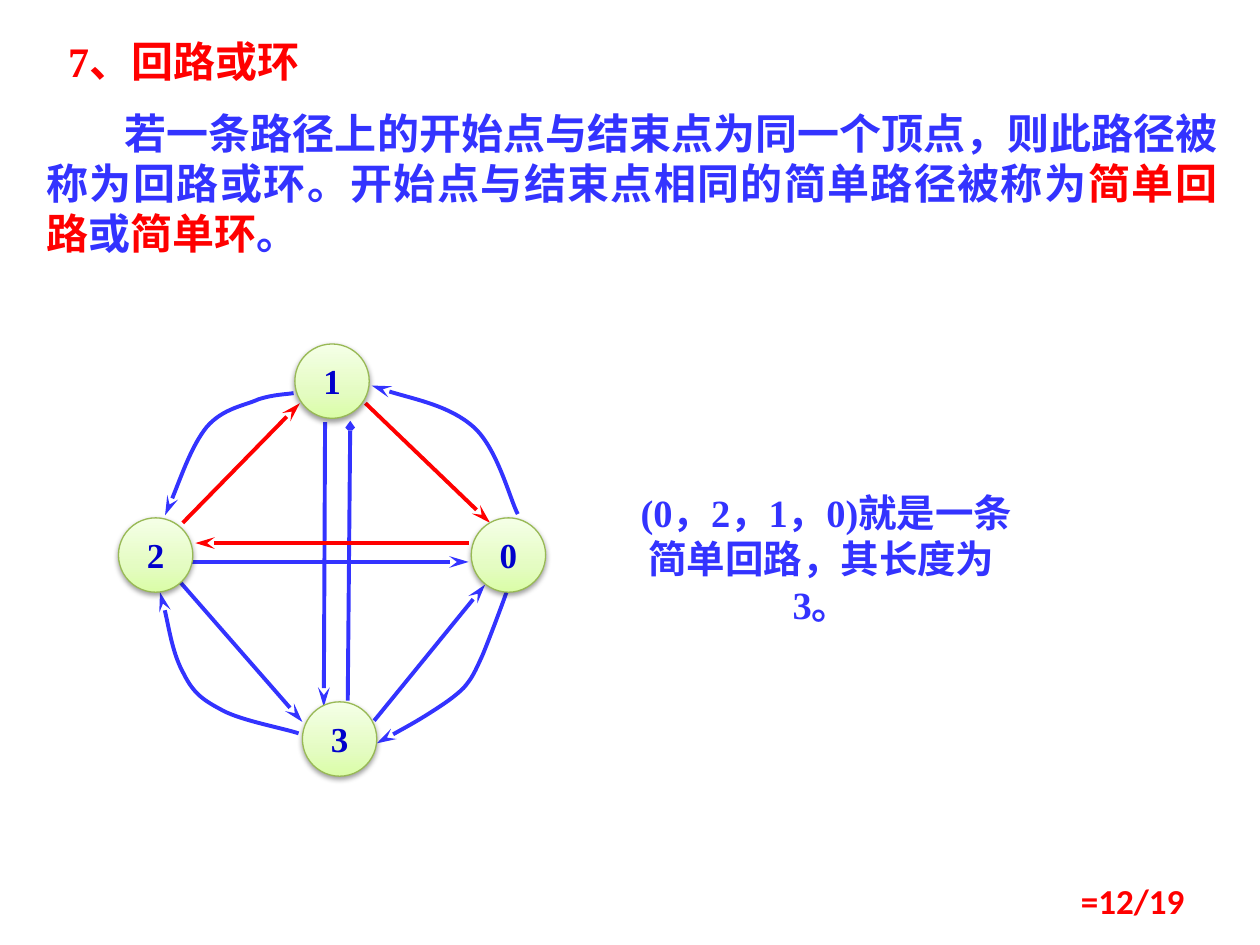
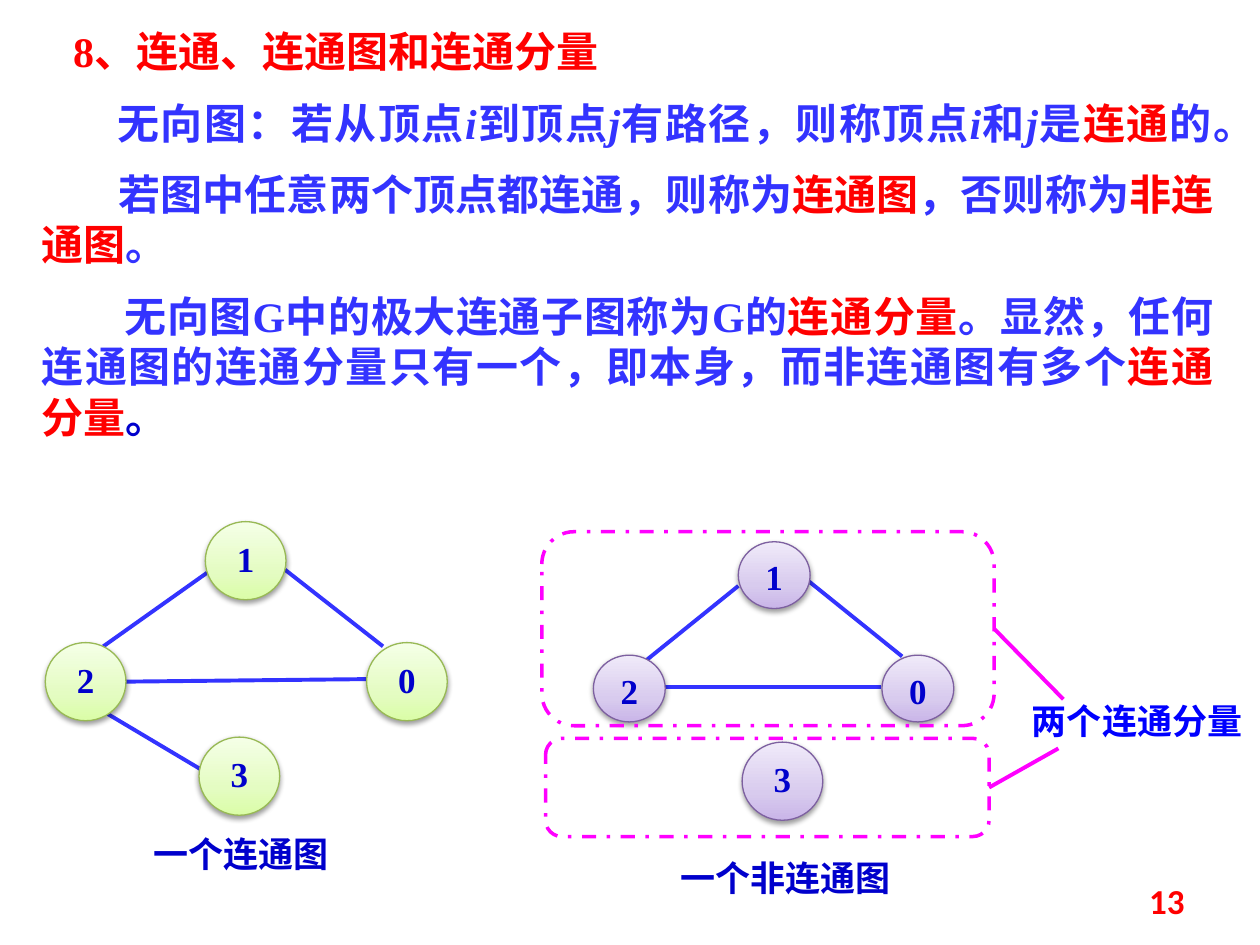
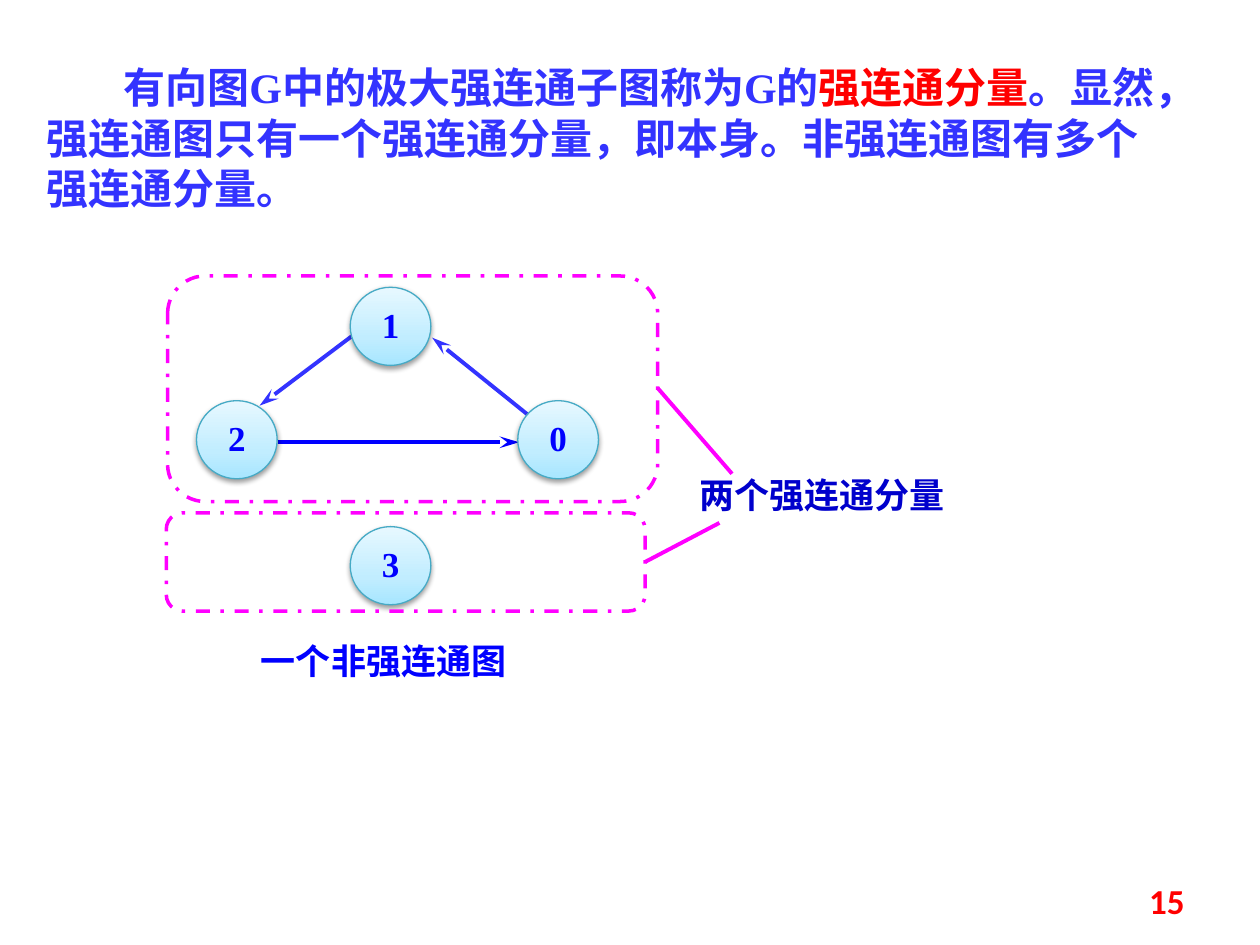
from dataclasses import dataclass, field

from lxml import etree
from pptx import Presentation
from pptx.dml.color import RGBColor
from pptx.enum.dml import MSO_LINE
from pptx.enum.lang import MSO_LANGUAGE_ID
from pptx.enum.shapes import MSO_CONNECTOR, MSO_SHAPE
from pptx.enum.text import MSO_ANCHOR, MSO_AUTO_SIZE, PP_ALIGN
from pptx.oxml.ns import qn
from pptx.util import Inches, Pt

ELLIPSE, ROUNDED = MSO_SHAPE.OVAL, MSO_SHAPE.ROUNDED_RECTANGLE
STRAIGHT = MSO_CONNECTOR.STRAIGHT
DASH_DOT = MSO_LINE.DASH_DOT
TOP, MIDDLE = MSO_ANCHOR.TOP, MSO_ANCHOR.MIDDLE
LEFT, CENTER, RIGHT, JUSTIFY = PP_ALIGN.LEFT, PP_ALIGN.CENTER, PP_ALIGN.RIGHT, PP_ALIGN.JUSTIFY
NO_FIT = MSO_AUTO_SIZE.NONE
CHINESE = MSO_LANGUAGE_ID.SIMPLIFIED_CHINESE

# Grid of square cells: 10 columns by 7.5 rows
COLUMNS, ROWS = 10, 7.5
SLIDE_WIDTH = Inches(10)
CELL = SLIDE_WIDTH / COLUMNS
BODY_DROP = 0.57
TITLE_HEIGHT = 0.5
CAPTION_HEIGHT = 0.44

STEALTH = {"type": "stealth", "w": "med", "len": "lg"}
SMALL_ARROW = {"type": "arrow", "w": "sm", "len": "sm"}

Point = tuple[float, float]


@dataclass(frozen=True)
class NodeStyle:
    stops: tuple[tuple[int, str], ...]
    outline: str
    text: str


@dataclass(frozen=True)
class Theme:
    red: str = "FF0000"
    blue: str = "3333FF"
    navy: str = "0000CC"
    bright: str = "0000FF"
    magenta: str = "FF00FF"
    font: str = "Times New Roman"
    number_font: str = "Calibri"
    heading_size: float = 24
    note_size: float = 22
    label_size: float = 20
    paragraph_gap: float = 12
    edge_width: float = 2.25
    frame_width: float = 2
    node_line: float = 0.75
    green_node: NodeStyle = NodeStyle(
        ((0, "DAFDA7"), (35, "E4FCC2"), (100, "F5FFE7")), "98B955", "0000CC")
    purple_node: NodeStyle = NodeStyle(
        ((0, "C9B5E8"), (35, "D8CBEE"), (100, "F0EAF9")), "7D60A0", "0000CC")
    cyan_node: NodeStyle = NodeStyle(
        ((0, "A7E6FF"), (35, "C1EDFF"), (100, "E7F8FF")), "46AAC5", "0000FF")


THEME = Theme()


@dataclass(frozen=True)
class Span:
    text: str
    color: str = THEME.blue
    italic: bool = False


@dataclass(frozen=True)
class Node:
    label: str
    left: float
    top: float
    width: float = 0.64
    height: float = 0.62


@dataclass(frozen=True)
class Edge:
    """Two points give a straight edge; 3n + 1 points give a chain of cubic curves."""
    points: tuple[Point, ...]
    color: str = THEME.blue
    head: dict[str, str] | None = None


@dataclass(frozen=True)
class Frame:
    left: float
    top: float
    width: float
    height: float


@dataclass(frozen=True)
class Caption:
    text: str
    left: float
    top: float
    width: float
    color: str = THEME.navy
    size: float = THEME.label_size


@dataclass(frozen=True)
class Graph:
    style: NodeStyle
    nodes: list[Node]
    edges: list[Edge]


@dataclass(frozen=True)
class Paragraph:
    indent: float
    spans: list[Span]


@dataclass(frozen=True)
class Page:
    number: str
    left: float
    top: float
    width: float
    body_height: float
    paragraphs: list[Paragraph]
    graphs: list[Graph]
    captions: list[Caption]
    title: str = ""
    title_indent: float = 0
    align: PP_ALIGN = JUSTIFY
    frames: list[Frame] = field(default_factory=list)


def grid(value: float) -> int:
    return round(value * CELL)


def set_all(target, **values) -> None:
    for name, value in values.items():
        setattr(target, name, value)


def add_element(parent, tag: str, **attributes):
    return etree.SubElement(parent, qn(tag), {name: str(value) for name, value in attributes.items()})


def place(shape, left: float, top: float, width: float, height: float) -> None:
    set_all(shape, left=grid(left), top=grid(top), width=grid(width), height=grid(height))


def write(para, spans: list[Span], size: float, align: PP_ALIGN, font: str = THEME.font) -> None:
    para.alignment = align
    for span in spans:
        run = para.add_run()
        run.text = span.text
        set_all(run.font, name=font, size=Pt(size), bold=True, italic=span.italic, language_id=CHINESE)
        run.font.color.rgb = RGBColor.from_string(span.color)


def indent_first_line(para, indent: float) -> None:
    properties = para._p.get_or_add_pPr()
    properties.set("marL", "0")
    properties.set("indent", str(grid(indent)))
    add_element(properties, "a:buNone")


def set_line(shape, color: str, width: float) -> None:
    shape.line.color.rgb = RGBColor.from_string(color)
    shape.line.width = Pt(width)


def add_text(slide, caption: Caption, height: float = CAPTION_HEIGHT, align: PP_ALIGN = CENTER,
             anchor: MSO_ANCHOR = TOP, font: str = THEME.font) -> None:
    box = slide.shapes.add_textbox(*map(grid, (caption.left, caption.top, caption.width, height)))
    set_all(box.text_frame, word_wrap=True, vertical_anchor=anchor)
    write(box.text_frame.paragraphs[0], [Span(caption.text, caption.color)], caption.size, align, font)


def add_node(slide, node: Node, style: NodeStyle) -> None:
    shape = slide.shapes.add_shape(ELLIPSE, *map(grid, (node.left, node.top, node.width, node.height)))
    shape.fill.gradient()
    shape.fill.gradient_angle = 90
    stop_list = shape._element.spPr.find(".//" + qn("a:gsLst"))
    stop_list.clear()
    for position, color in style.stops:
        stop = add_element(stop_list, "a:gs", pos=position * 1000)
        add_element(stop, "a:srgbClr", val=color)
    set_line(shape, style.outline, THEME.node_line)
    shape.shadow.inherit = False
    effects = shape._element.spPr.find(qn("a:effectLst"))
    shadow = add_element(effects, "a:outerShdw", blurRad=Pt(3.1), dist=Pt(1.6), dir=5400000, rotWithShape=0)
    shade = add_element(shadow, "a:srgbClr", val="000000")
    add_element(shade, "a:alpha", val=38000)
    set_all(shape.text_frame, margin_left=0, margin_right=0, margin_bottom=0,
            margin_top=grid(0.12), vertical_anchor=TOP)
    para = shape.text_frame.paragraphs[0]
    para.line_spacing = 0.72
    write(para, [Span(node.label, style.text)], THEME.label_size, CENTER)


def add_curve(slide, points: tuple[Point, ...]):
    """Build the outline through the anchor points, then bend each segment into a cubic."""
    corners = [(grid(x), grid(y)) for x, y in points]
    builder = slide.shapes.build_freeform(*corners[0])
    builder.add_line_segments(corners[3::3], close=False)
    shape = builder.convert_to_shape()
    segments = list(shape._element.spPr.iter(qn("a:lnTo")))
    for index, segment in enumerate(segments):
        cubic = etree.Element(qn("a:cubicBezTo"))
        for x, y in corners[3 * index + 1:3 * index + 4]:
            add_element(cubic, "a:pt", x=x - shape.left, y=y - shape.top)
        segment.getparent().replace(segment, cubic)
    shape.fill.background()
    shape.shadow.inherit = False
    return shape


def add_edge(slide, edge: Edge) -> None:
    if len(edge.points) == 2:
        shape = slide.shapes.add_connector(STRAIGHT, *(grid(value) for point in edge.points for value in point))
        add_element(shape._element.spPr, "a:effectLst")
    else:
        shape = add_curve(slide, edge.points)
    set_line(shape, edge.color, THEME.edge_width)
    if edge.head:
        add_element(shape.line._get_or_add_ln(), "a:tailEnd", **edge.head)


def add_frame(slide, frame: Frame) -> None:
    shape = slide.shapes.add_shape(ROUNDED, *map(grid, (frame.left, frame.top, frame.width, frame.height)))
    shape.fill.background()
    set_line(shape, THEME.magenta, THEME.frame_width)
    shape.line.dash_style = DASH_DOT
    shape.shadow.inherit = False


def fill_placeholders(slide, page: Page) -> None:
    title, body = slide.shapes.title, slide.placeholders[1]
    body_top = page.top
    if page.title:
        place(title, page.left, page.top, page.width, TITLE_HEIGHT)
        set_all(title.text_frame, vertical_anchor=TOP, auto_size=NO_FIT)
        para = title.text_frame.paragraphs[0]
        indent_first_line(para, page.title_indent)
        write(para, [Span(page.title, THEME.red)], THEME.heading_size, LEFT)
        body_top += BODY_DROP
    else:
        title._element.getparent().remove(title._element)
    place(body, page.left, body_top, page.width, page.body_height)
    frame = body.text_frame
    set_all(frame, vertical_anchor=TOP, auto_size=NO_FIT)
    for index, paragraph in enumerate(page.paragraphs):
        para = frame.add_paragraph() if index else frame.paragraphs[0]
        para.space_before = Pt(THEME.paragraph_gap if index else 0)
        indent_first_line(para, paragraph.indent)
        write(para, paragraph.spans, THEME.heading_size, page.align)


def add_page(deck, page: Page) -> None:
    slide = deck.slides.add_slide(deck.slide_layouts[1])
    fill_placeholders(slide, page)
    for graph in page.graphs:
        for edge in graph.edges:
            add_edge(slide, edge)
        for node in graph.nodes:
            add_node(slide, node, graph.style)
    for frame in page.frames:
        add_frame(slide, frame)
    for caption in page.captions:
        add_text(slide, caption)
    number = Caption(page.number, 7.17, 6.95, 2.33, THEME.red)
    add_text(slide, number, 0.4, RIGHT, MIDDLE, THEME.number_font)


def red(text: str) -> Span:
    return Span(text, THEME.red)


def italic(text: str) -> Span:
    return Span(text, italic=True)


def arrow(*points: Point, color: str = THEME.blue, head: dict[str, str] = STEALTH) -> Edge:
    return Edge(points, color, head)


def line(*points: Point, color: str = THEME.blue) -> Edge:
    return Edge(points, color)


def pointer(start: Point, end: Point) -> Edge:
    return line(start, end, color=THEME.magenta)


CYCLE_GRAPH = Graph(
    THEME.green_node,
    [Node(label, left, top, 0.59, 0.59) for label, left, top in
     (("1", 2.34, 2.73), ("0", 3.74, 4.11), ("2", 0.94, 4.11), ("3", 2.4, 5.57))],
    [
        arrow((2.58, 3.35), (2.57, 5.61)),
        arrow((2.76, 5.56), (2.78, 3.34), head=SMALL_ARROW),
        arrow((1.52, 4.46), (3.72, 4.46)),
        arrow((1.43, 4.62), (2.4, 5.73)),
        arrow((2.97, 5.72), (3.85, 4.64)),
        arrow((4.02, 4.7), (3.99, 4.79), (3.88, 5.08), (3.83, 5.2), (3.77, 5.33), (3.75, 5.38), (3.68, 5.46),
              (3.61, 5.53), (3.52, 5.59), (3.41, 5.66), (3.3, 5.73), (3.08, 5.85), (2.99, 5.9)),
        arrow((2.33, 3.12), (2.28, 3.13), (2.17, 3.13), (2.05, 3.17), (1.94, 3.22), (1.77, 3.24), (1.64, 3.39),
              (1.52, 3.54), (1.38, 3.94), (1.31, 4.09)),
        arrow((2.37, 5.82), (2.25, 5.78), (1.92, 5.72), (1.77, 5.64), (1.62, 5.56), (1.54, 5.51), (1.46, 5.35),
              (1.37, 5.19), (1.31, 4.81), (1.27, 4.7)),
        arrow((4.11, 4.08), (4.05, 3.97), (3.95, 3.56), (3.76, 3.39), (3.57, 3.22), (3.12, 3.13), (2.95, 3.06)),
        arrow((3.72, 4.31), (1.55, 4.31), color=THEME.red),
        arrow((1.45, 4.15), (2.38, 3.2), color=THEME.red),
        arrow((2.9, 3.2), (3.89, 4.15), color=THEME.red),
    ],
)
CONNECTED_GRAPH = Graph(
    THEME.green_node,
    [Node("1", 1.63, 4.14), Node("0", 2.91, 5.1), Node("2", 0.36, 5.1), Node("3", 1.58, 5.85)],
    [line((0.82, 5.13), (1.68, 4.52)), line((0.81, 5.64), (1.6, 6.11)),
     line((2.91, 5.39), (1, 5.41)), line((2.26, 4.52), (3.04, 5.13))],
)
UNCONNECTED_GRAPH = Graph(
    THEME.purple_node,
    [Node("1", 5.86, 4.3, 0.57, 0.53), Node("0", 7, 5.2, 0.57, 0.53),
     Node("2", 4.71, 5.2, 0.57, 0.53), Node("3", 5.89, 5.89)],
    [line((7.16, 5.21), (6.39, 4.59)), line((5.86, 4.65), (5.08, 5.28)), line((5.26, 5.45), (6.99, 5.45)),
     pointer((7.89, 4.99), (8.44, 5.55)), pointer((7.85, 6.25), (8.4, 5.94))],
)
NOT_STRONG_GRAPH = Graph(
    THEME.cyan_node,
    [Node("1", 2.78, 2.28), Node("0", 4.11, 3.18), Node("2", 1.56, 3.18), Node("3", 2.78, 4.18)],
    [arrow((2.21, 3.51), (4.12, 3.51), color=THEME.bright),
     arrow((2.79, 2.67), (2.06, 3.22)), arrow((4.2, 3.3), (3.43, 2.68)),
     pointer((5.22, 3.08), (5.81, 3.76)), pointer((5.12, 4.46), (5.71, 4.15))],
)

PAGES = [
    Page(
        number="=12/19", left=0.27, top=0.23, width=9.49, body_height=1.35,
        title="7、回路或环", title_indent=0.17,
        paragraphs=[Paragraph(0.62, [
            Span("若一条路径上的开始点与结束点为同一个顶点，则此路径被称为回路或环。开始点与结束点相同的简单路径被称为"),
            red("简单回路"), Span("或"), red("简单环"), Span("。")])],
        graphs=[CYCLE_GRAPH],
        captions=[Caption(" (0，2，1，0)就是一条简单回路，其长度为3。", 4.84, 3.83, 3.36,
                          THEME.blue, THEME.note_size)],
    ),
    Page(
        number="13", left=0.23, top=0.15, width=9.5, body_height=2.96,
        title="8、连通、连通图和连通分量", title_indent=0.25,
        paragraphs=[
            Paragraph(0.6, [
                Span("无向图：若从顶点"), italic("i"), Span("到顶点"), italic("j"), Span("有路径，则称顶点"),
                italic("i"), Span("和"), italic("j"), Span("是"), red("连通"), Span("的。")]),
            Paragraph(0.61, [
                Span("若图中任意两个顶点都连通，则称为"), red("连通图"), Span("，否则称为"),
                red("非连通图"), Span("。")]),
            Paragraph(0.66, [
                Span("无向图G中的极大连通子图称为G的"), red("连通分量"),
                Span("。显然，任何连通图的连通分量只有一个，即本身，而非连通图有多个"),
                red("连通分量"), Span("。", THEME.navy)]),
        ],
        graphs=[CONNECTED_GRAPH, UNCONNECTED_GRAPH],
        frames=[Frame(4.3, 4.22, 3.59, 1.54), Frame(4.33, 5.86, 3.52, 0.78)],
        captions=[Caption("一个连通图", 0.94, 6.56, 1.95), Caption("一个非连通图", 5.26, 6.75, 1.95),
                  Caption("两个连通分量", 8.05, 5.5, 1.95, THEME.bright)],
    ),
    Page(
        number="15", left=0.27, top=0.44, width=9.1, body_height=1.31, align=LEFT,
        paragraphs=[Paragraph(0.61, [
            Span("有向图G中的极大强连通子图称为G的"), red("强连通分量"),
            Span("。显然，强连通图只有一个强连通分量，即本身。非强连通图有多个强连通分量。")])],
        graphs=[NOT_STRONG_GRAPH],
        frames=[Frame(1.33, 2.19, 3.89, 1.79), Frame(1.32, 4.07, 3.8, 0.78)],
        captions=[Caption("一个非强连通图", 1.95, 5.03, 2.19, THEME.bright),
                  Caption("两个强连通分量", 5.39, 3.71, 2.27)],
    ),
]


def main() -> None:
    deck = Presentation()
    set_all(deck, slide_width=SLIDE_WIDTH, slide_height=grid(ROWS))
    for page in PAGES:
        add_page(deck, page)
    deck.save("out.pptx")


if __name__ == "__main__":
    main()
